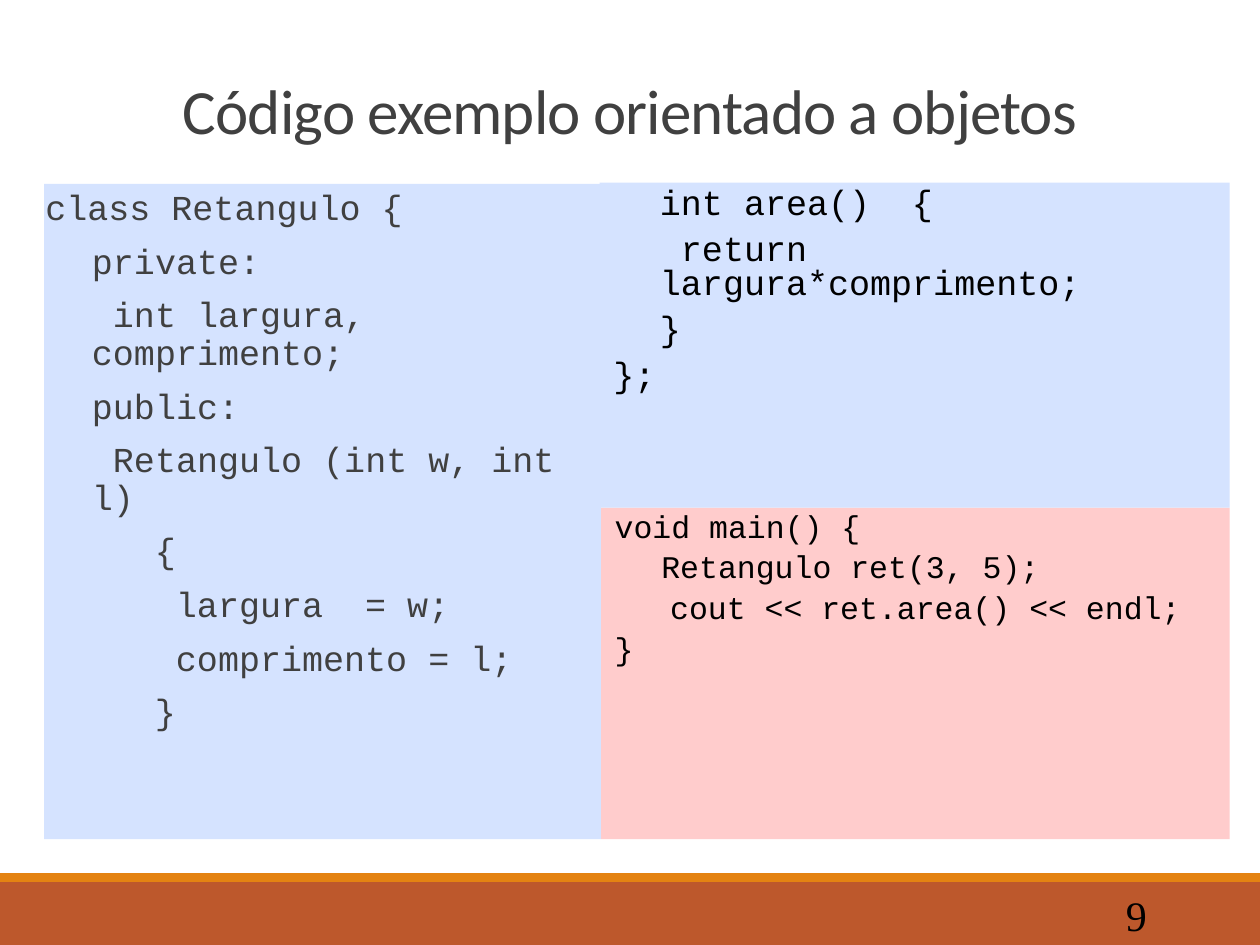
import pptx
import pptx.dml.color
import pptx.enum.shapes
import pptx.enum.text
import pptx.util
from lxml import etree
from pptx.oxml.ns import qn

Inches = pptx.util.Inches
Align = pptx.enum.text.PP_ALIGN
Anchor = pptx.enum.text.MSO_ANCHOR

THEME = {
    "text": "404040", "black": "000000",
    "class": "D5E3FF", "main": "FFCCCC",
    "bar": "BD582C", "accent": "E48312",
    "title_font": "Calibri", "code_font": "Courier New",
    "number_font": "Times New Roman",
    "title_size": 36, "number_size": 24, "code_size": 20, "main_size": 18,
}

TITLE = "Código exemplo orientado a objetos"
PAGE_NUMBER = "9"
CLASS_CODE = [
    "class Retangulo {",
    "\tprivate:",
    "\t int largura, comprimento;",
    "\tpublic:",
    "\t Retangulo (int w, int l)",
    "\t\t{",
    "\t\t largura  = w;",
    "\t\t comprimento = l;",
    "\t\t}",
]
AREA_CODE = ["\tint area()\t{", "\t return largura*comprimento;", "\t}", "};"]
MAIN_CODE = ["void main() {", "\tRetangulo ret(3, 5);",
             "\tcout << ret.area() << endl;", "}"]

WIDTH, HEIGHT = 10, 7.5
LEFT, MIDDLE, RIGHT = 0.35, 4.77, 9.76
TOP, SPLIT, BOTTOM = 1.46, 4.03, 6.66
BAR_TOP, ACCENT_HEIGHT = 7, 0.07
CODE_MARGIN, CODE_HANGING, COUT_MARGIN = 0.38, -0.37, 0.45
TAB_COUNT = 8


def color(name):
    return pptx.dml.color.RGBColor.from_string(THEME[name])


def place(shape, left, top, right, bottom):
    shape.left, shape.top = Inches(left), Inches(top)
    shape.width, shape.height = Inches(right - left), Inches(bottom - top)


def paint(shape, fill):
    shape.fill.solid()
    shape.fill.fore_color.rgb = color(fill)
    shape.line.fill.background()


def add_rectangle(slide, box, fill):
    shape = slide.shapes.add_shape(
        pptx.enum.shapes.MSO_SHAPE.RECTANGLE, 0, 0, 0, 0)
    place(shape, *box)
    paint(shape, fill)
    shape.shadow.inherit = False
    return shape


def format_code(paragraph, margin):
    """Hang the first line, drop the bullet and set a tab stop every inch."""
    properties = paragraph._p.get_or_add_pPr()
    properties.set("marL", str(Inches(margin)))
    properties.set("indent", str(Inches(CODE_HANGING)))
    etree.SubElement(properties, qn("a:buNone"))
    tabs = etree.SubElement(properties, qn("a:tabLst"))
    for inch in range(1, TAB_COUNT + 1):
        etree.SubElement(tabs, qn("a:tab"), pos=str(Inches(inch)), algn="l")


def write(shape, lines, *, font, size, ink, align=Align.LEFT, anchor=Anchor.TOP,
          inset=0.1, line_spacing=1.0, before=0, after=0, tracking=None,
          code=False, margins=None):
    """Fill a shape with lines; margins maps a line's index to its own margin."""
    frame = shape.text_frame
    frame.word_wrap = True
    frame.auto_size = pptx.enum.text.MSO_AUTO_SIZE.NONE
    frame.vertical_anchor = anchor
    frame.margin_left = frame.margin_right = Inches(inset)
    frame.margin_top = frame.margin_bottom = Inches(0.05)
    for index, line in enumerate(lines):
        paragraph = frame.add_paragraph() if index else frame.paragraphs[0]
        paragraph.alignment = align
        paragraph.line_spacing = line_spacing
        paragraph.space_before = pptx.util.Pt(before)
        paragraph.space_after = pptx.util.Pt(after)
        if code:
            format_code(paragraph, (margins or {}).get(index, CODE_MARGIN))
        run = paragraph.add_run()
        run.text = line
        run.font.name = THEME[font]
        run.font.size = pptx.util.Pt(THEME[size])
        run.font.color.rgb = color(ink)
        if tracking is not None:
            run.font._element.set("spc", str(int(tracking * 100)))


def main():
    presentation = pptx.Presentation()
    presentation.slide_width = Inches(WIDTH)
    presentation.slide_height = Inches(HEIGHT)
    slide = presentation.slides.add_slide(presentation.slide_layouts[1])

    add_rectangle(slide, (0, BAR_TOP, WIDTH, HEIGHT), "bar")
    add_rectangle(slide, (0, BAR_TOP - ACCENT_HEIGHT, WIDTH, BAR_TOP), "accent")

    title = slide.shapes.title
    place(title, 0.75, 0.5, WIDTH - 0.75, 1.33)
    write(title, [TITLE], font="title_font", size="title_size", ink="text",
          align=Align.CENTER, anchor=Anchor.MIDDLE, line_spacing=0.85,
          tracking=-0.5)

    class_panel = slide.placeholders[1]
    place(class_panel, LEFT, TOP, MIDDLE, BOTTOM)
    paint(class_panel, "class")
    write(class_panel, CLASS_CODE, font="code_font", size="code_size", ink="text",
          inset=0, line_spacing=0.9, before=7, after=2, code=True)

    main_panel = add_rectangle(slide, (MIDDLE, SPLIT, RIGHT, BOTTOM), "main")
    write(main_panel, MAIN_CODE, font="code_font", size="main_size", ink="black",
          line_spacing=0.8, before=6, code=True, margins={2: COUT_MARGIN})

    area_panel = add_rectangle(
        slide, (MIDDLE - 0.01, TOP - 0.01, RIGHT, SPLIT), "class")
    write(area_panel, AREA_CODE, font="code_font", size="code_size", ink="black",
          line_spacing=0.8, before=7, code=True)

    number = slide.shapes.add_textbox(0, 0, 0, 0)
    place(number, 8.12, 7.06, 9.2, 7.46)
    write(number, [PAGE_NUMBER], font="number_font", size="number_size",
          ink="black", align=Align.RIGHT, anchor=Anchor.MIDDLE)

    presentation.save("out.pptx")


if __name__ == "__main__":
    main()
